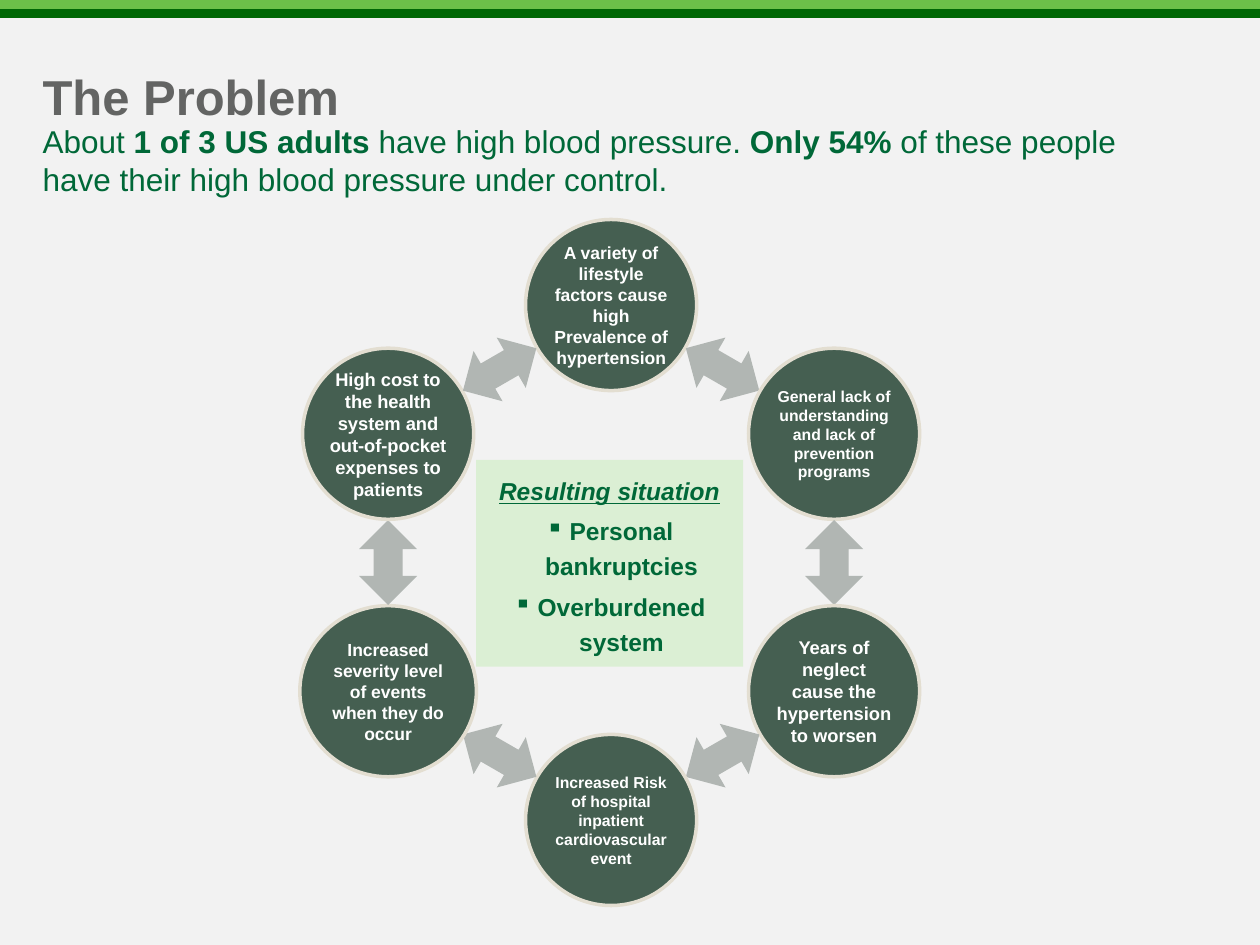
"""Build the hypertension problem slide with its ring of causes."""
import dataclasses
import math

import lxml.etree
import pptx
import pptx.dml.color
import pptx.enum.shapes
import pptx.enum.text
import pptx.oxml.ns
import pptx.util

Cm = pptx.util.Cm
Pt = pptx.util.Pt
SHAPES = pptx.enum.shapes.MSO_SHAPE
ALIGN = pptx.enum.text.PP_ALIGN
ANCHOR = pptx.enum.text.MSO_ANCHOR


@dataclasses.dataclass(frozen=True)
class Theme:
    font: str = "Arial"
    page: str = "F2F2F2"
    light_band: str = "6CC049"
    dark_band: str = "006805"
    title: str = "636463"
    body: str = "006838"
    circle: str = "455F51"
    circle_line: str = "E3DED1"
    circle_text: str = "FFFFFF"
    arrow: str = "B1B6B3"
    panel: str = "DBEFD4"
    title_size: float = 28
    lead_size: float = 18
    panel_size: float = 14


@dataclasses.dataclass(frozen=True)
class Box:
    left: float
    top: float
    width: float
    height: float

    def lengths(self) -> tuple:
        return tuple(Cm(value) for value in dataclasses.astuple(self))


@dataclasses.dataclass(frozen=True)
class Cause:
    text: str
    size: float
    width: float = 3.45


@dataclasses.dataclass(frozen=True)
class Ring:
    center_x: float = 12.32
    center_y: float = 11.34
    radius: float = 5.19
    circle_height: float = 3.45
    circle_inset: float = 0.02
    arrow_length: float = 1.71
    arrow_height: float = 1.17

    def box(self, degrees: float, radius: float, width: float, height: float) -> Box:
        angle = math.radians(degrees)
        middle_x = self.center_x + radius * math.sin(angle)
        middle_y = self.center_y - radius * math.cos(angle)
        return Box(middle_x - width / 2, middle_y - height / 2, width, height)


THEME = Theme()
CAUSES = [
    Cause("A variety of lifestyle factors cause high Prevalence of hypertension", 10),
    Cause("General lack of understanding and lack of prevention programs", 9),
    Cause("Years of neglect cause the hypertension to worsen", 10.5),
    Cause("Increased Risk of hospital inpatient cardiovascular event", 9),
    Cause("Increased severity level of events when they do occur", 10, width=3.56),
    Cause("High cost to the health system and out-of-pocket expenses to patients", 10.5),
]
LEAD = [
    ("About ", False),
    ("1 of 3 US adults", True),
    (" have high blood pressure. ", False),
    ("Only 54%", True),
    (" of these people have their high blood pressure under control.", False),
]
RESULTS = ["Personal bankruptcies", "Overburdened system"]


def rgb(color: str) -> pptx.dml.color.RGBColor:
    return pptx.dml.color.RGBColor.from_string(color)


def add_filled(page, kind, box: Box, fill: str, line: str = ""):
    shape = page.shapes.add_shape(kind, *box.lengths())
    shape.shadow.inherit = False
    shape.fill.solid()
    shape.fill.fore_color.rgb = rgb(fill)
    if line:
        shape.line.color.rgb = rgb(line)
        shape.line.width = Pt(2)
    else:
        shape.line.fill.background()
    return shape


def add_span(para, text: str, size: float, color: str, bold: bool = True):
    span = para.add_run()
    span.text = text
    span.font.name = THEME.font
    span.font.size = Pt(size)
    span.font.bold = bold
    span.font.color.rgb = rgb(color)
    return span


def add_text_box(page, box: Box, anchor):
    frame = page.shapes.add_textbox(*box.lengths()).text_frame
    frame.word_wrap = True
    frame.vertical_anchor = anchor
    return frame.paragraphs[0]


def add_cause(page, box: Box, cause: Cause, inset: float) -> None:
    circle = add_filled(page, SHAPES.OVAL, box, THEME.circle, THEME.circle_line)
    frame = circle.text_frame
    frame.word_wrap = True
    frame.vertical_anchor = ANCHOR.MIDDLE
    frame.margin_left = frame.margin_right = Cm(inset)
    frame.margin_top = frame.margin_bottom = Cm(inset)
    para = frame.paragraphs[0]
    para.alignment = ALIGN.CENTER
    add_span(para, cause.text, cause.size, THEME.circle_text)


def add_ring(page, ring: Ring) -> None:
    step = 360 / len(CAUSES)
    arrow_radius = ring.radius * math.cos(math.radians(step / 2))
    for index, cause in enumerate(CAUSES):
        degrees = index * step
        circle_box = ring.box(degrees, ring.radius, cause.width, ring.circle_height)
        add_cause(page, circle_box, cause, ring.circle_inset)
        between = degrees + step / 2
        arrow_box = ring.box(between, arrow_radius, ring.arrow_length, ring.arrow_height)
        arrow = add_filled(page, SHAPES.LEFT_RIGHT_ARROW, arrow_box, THEME.arrow)
        arrow.rotation = between


def add_bullet(para) -> None:
    properties = para._p.get_or_add_pPr()
    properties.set("marL", str(Cm(0.48)))
    properties.set("indent", str(Cm(-0.48)))
    bullet = lxml.etree.SubElement(properties, pptx.oxml.ns.qn("a:buChar"))
    bullet.set("char", "▪")


def add_results(page) -> None:
    panel = add_filled(page, SHAPES.RECTANGLE, Box(9.6, 9.27, 5.38, 4.17), THEME.panel)
    frame = panel.text_frame
    frame.word_wrap = True
    frame.vertical_anchor = ANCHOR.MIDDLE
    heading = frame.paragraphs[0]
    span = add_span(heading, "Resulting situation", THEME.panel_size, THEME.body)
    span.font.italic = span.font.underline = True
    for result in RESULTS:
        add_span(frame.add_paragraph(), result, THEME.panel_size, THEME.body)
    for para in frame.paragraphs:
        para.alignment = ALIGN.CENTER
        para.line_spacing = 1.2
        para.space_before = Pt(2.8)
    for para in frame.paragraphs[1:]:
        add_bullet(para)


def main() -> None:
    deck = pptx.Presentation()
    deck.slide_width, deck.slide_height = Cm(25.4), Cm(19.05)
    page = deck.slides.add_slide(deck.slide_layouts[6])
    page.background.fill.solid()
    page.background.fill.fore_color.rgb = rgb(THEME.page)
    add_filled(page, SHAPES.RECTANGLE, Box(-0.18, 0.16, 25.7, 0.2), THEME.dark_band)
    add_filled(page, SHAPES.RECTANGLE, Box(-0.18, -0.02, 25.7, 0.2), THEME.light_band)
    title = add_text_box(page, Box(0.61, 1.3, 22.86, 1.27), ANCHOR.MIDDLE)
    add_span(title, "The Problem", THEME.title_size, THEME.title)
    lead = add_text_box(page, Box(0.61, 2.34, 22.86, 2.08), ANCHOR.TOP)
    lead.space_before = Pt(3.6)
    for text, bold in LEAD:
        add_span(lead, text, THEME.lead_size, THEME.body, bold)
    add_ring(page, Ring())
    add_results(page)
    deck.save("out.pptx")


if __name__ == "__main__":
    main()
